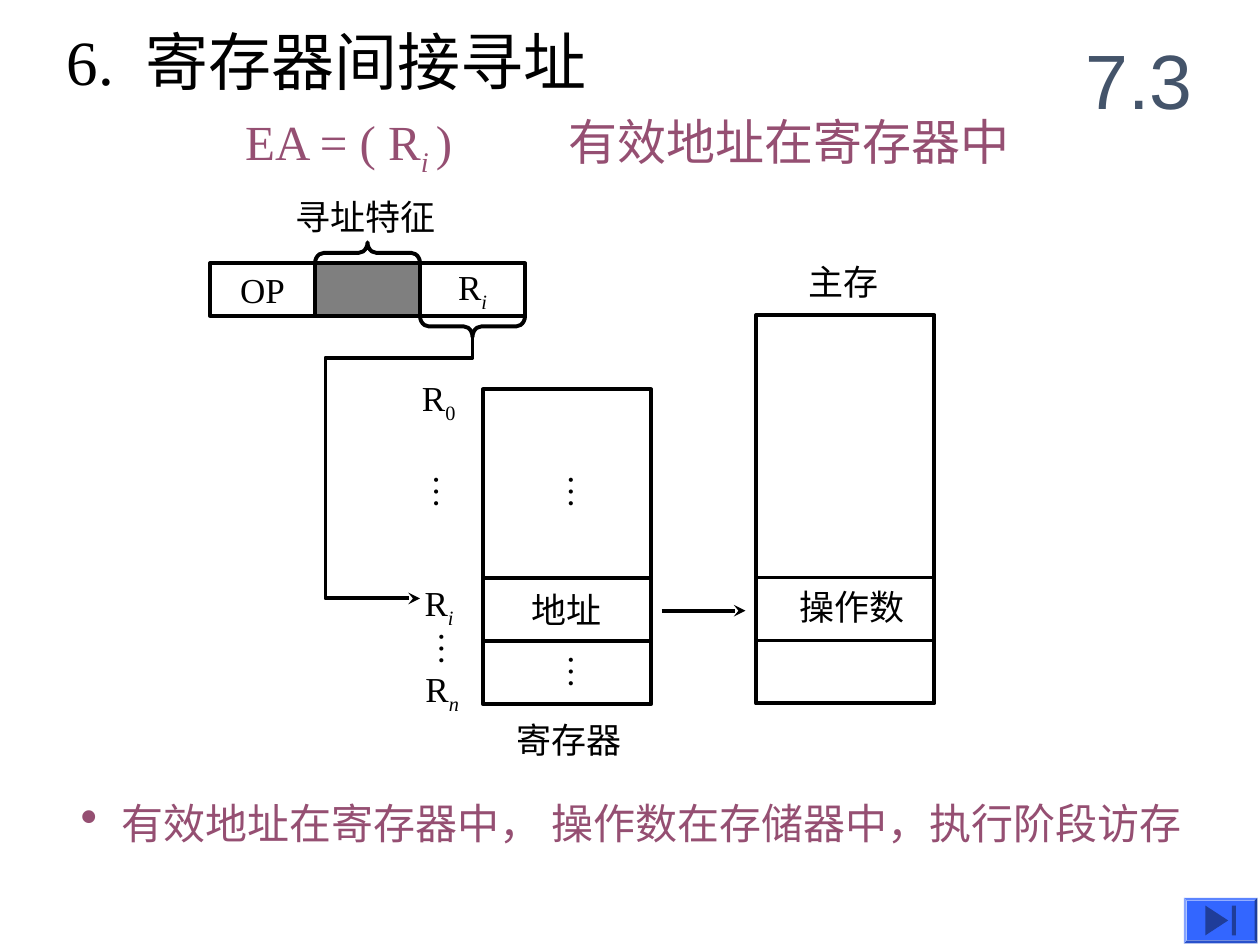
import pptx
import pptx.util
import pptx.dml.color
import pptx.enum.shapes
import pptx.enum.text
import pptx.oxml
import pptx.oxml.ns
import lxml.etree

Pt = pptx.util.Pt
SHAPE = pptx.enum.shapes.MSO_SHAPE
ALIGN = pptx.enum.text.PP_ALIGN
ANCHOR = pptx.enum.text.MSO_ANCHOR
FIT = pptx.enum.text.MSO_AUTO_SIZE

THEME = {
    "ink": "000000", "plum": "954F72", "slate": "44546A",
    "blue": "3366FF", "navy": "1F3D99",
    "serif": "Times New Roman", "sans": "Arial",
    "label": 20, "note": 24, "lead": 28, "head": 36, "mark": 44, "line": 2.25,
}

# Content: text is a list of (words, style) runs; boxes are left, top, width, height
TITLE = [("6.\t寄存器间接寻址", "")]
LEADS = [
    ([("EA = ( R", ""), ("i ", "sub it"), (")", "")], (133, 60, 140, 45)),
    ([("有效地址在寄存器中", "")], (318, 60, 270, 41)),
]
NOTE = [("有效地址在寄存器中， 操作数在存储器中，执行阶段访存", "")]
LABELS = [
    ([("寻址特征", "")], (162, 108, 102, 32)),
    ([("主存", "")], (455, 145.5, 62, 32)),
    ([("操作数", "")], (450, 331, 82, 32)),
    ([("寄存器", "")], (288, 407, 102, 32)),
    ([("R", ""), ("0", "sub")], (234, 211.5, 40, 35)),
    ([("R", ""), ("i", "sub it")], (235.5, 329, 40, 35)),
    ([("R", ""), ("n", "sub it")], (236, 378, 40, 35)),
]
DOTS = [(311, 264), (311, 367), (234, 264), (237, 353.5)]
FIELDS = [[("OP", "")], None, [("R", ""), ("i", "sub it")]]
CELLS = [(108, None), (36, [("地址", "")]), (36, None)]

FIELD = (120, 150.5, 60, 30)
BANK = (276, 222.5, 96)
MEMORY = (432, 180, 102, 222)
ROWS = (330, 366)
ROUTE = [(270, 192.5), (270, 204.5), (186, 204.5), (186, 342), (240, 342)]

deck = pptx.Presentation()
deck.slide_width, deck.slide_height = Pt(720), Pt(540)
slide = deck.slides.add_slide(deck.slide_layouts[5])
shapes = slide.shapes


def color(name):
    return pptx.dml.color.RGBColor.from_string(THEME[name])


def add(parent, tag, **attrs):
    node = lxml.etree.SubElement(parent, pptx.oxml.ns.qn(tag))
    for key, value in attrs.items():
        node.set(key, str(value))
    return node


def write(shape, runs, size="label", tint="ink", font="serif", align=ALIGN.LEFT,
          anchor=ANCHOR.TOP, wrap=False, fit=FIT.SHAPE_TO_FIT_TEXT,
          inset=(7.2, 3.6), bullet=None, tab=None):
    frame = shape.text_frame
    frame.word_wrap, frame.auto_size = wrap, fit
    frame.vertical_anchor = anchor
    frame.margin_left = frame.margin_right = Pt(inset[0])
    frame.margin_top = frame.margin_bottom = Pt(inset[1])
    para = frame.paragraphs[0]
    para.alignment = align
    props = para._p.get_or_add_pPr()
    if bullet:
        props.set("marL", str(Pt(bullet)))
        props.set("indent", str(-Pt(bullet)))
        add(props, "a:buSzPct", val=117000)
        add(props, "a:buChar", char="•")
    if tab:
        add(add(props, "a:tabLst"), "a:tab", pos=Pt(tab), algn="l")
    for words, style in runs:
        run = para.add_run()
        run.text = words
        run.font.name, run.font.size = THEME[font], Pt(THEME[size])
        run.font.color.rgb = color(tint)
        run.font.bold, run.font.italic = False, "it" in style
        if "sub" in style:
            run.font._element.set("baseline", "-25000")


def place(shape, box):
    shape.left, shape.top, shape.width, shape.height = map(Pt, box)


def label(runs, box, **form):
    shape = shapes.add_textbox(*map(Pt, box))
    write(shape, runs, **form)
    return shape


def outline(shape):
    shape.shadow.inherit = False
    shape.fill.background()
    shape.line.color.rgb = color("ink")
    shape.line.width = Pt(THEME["line"])


def block(box, kind=SHAPE.RECTANGLE, fill=None, turn=0, runs=None):
    shape = shapes.add_shape(kind, *map(Pt, box))
    outline(shape)
    shape.rotation = turn
    if fill:
        shape.fill.solid()
        shape.fill.fore_color.rgb = color(fill)
    if runs:
        write(shape, runs, align=ALIGN.CENTER, anchor=ANCHOR.MIDDLE, fit=FIT.NONE)
    return shape


def arrow(shape):
    add(shape.line._get_or_add_ln(), "a:tailEnd", type="stealth")


def rule(x1, x2, y):
    line = shapes.add_connector(pptx.enum.shapes.MSO_CONNECTOR.STRAIGHT,
                                Pt(x1), Pt(y), Pt(x2), Pt(y))
    line.line.color.rgb = color("ink")
    line.line.width = Pt(THEME["line"])
    add(line.element.spPr, "a:effectLst")
    return line


# Headings and note
place(shapes.title, (31, 9.5, 350, 50))
write(shapes.title, TITLE, size="head", tab=45)
for runs, box in LEADS:
    label(runs, box, size="lead", tint="plum")
label([("7.3", "")], (606, 12, 90, 66), size="mark", tint="slate", font="sans",
      align=ALIGN.CENTER, anchor=ANCHOR.MIDDLE, wrap=True, fit=FIT.NONE)
label(NOTE, (39, 452, 666, 41), size="note", tint="plum", wrap=True, bullet=23.5)

# Main memory
block(MEMORY)
for y in ROWS:
    rule(MEMORY[0], MEMORY[0] + MEMORY[2], y)

# Instruction word, with a half-clear middle field
left, top, wide, high = FIELD
for i, runs in enumerate(FIELDS):
    cell = block((left + i * wide, top, wide, high), runs=runs,
                 fill=None if runs else "ink")
    if not runs:
        tone = cell.element.spPr.find(".//" + pptx.oxml.ns.qn("a:srgbClr"))
        add(tone, "a:alpha", val=50000)

# Braces above the middle field and below the last one
depth = 12
for i, y, turn in ((1, top - depth / 2, 90), (2, top + high + depth / 2, 270)):
    mid = left + (i + 0.5) * wide
    brace = block((mid - depth / 2, y - wide / 2, depth, wide),
                  kind=SHAPE.LEFT_BRACE, turn=turn)
    brace.adjustments[0] = 0.42

# Register bank
left, y, wide = BANK
for high, runs in CELLS:
    block((left, y, wide, high), runs=runs)
    y += high

# Arrows
points = [(Pt(x), Pt(y)) for x, y in ROUTE]
pen = shapes.build_freeform(*points[0], scale=1.0)
pen.add_line_segments(points[1:], close=False)
route = pen.convert_to_shape()
outline(route)
arrow(route)
arrow(rule(378, 426, 349))

# Labels and vertical dots
for runs, box in LABELS:
    label(runs, box)
for x, y in DOTS:
    dots = label([("…", "")], (x, y, 38, 27), inset=(3.6, 7.2))
    dots.element.txBody.bodyPr.set("vert", "eaVert")

# Button at the corner
button = block((676.5, 513, 42, 26), kind=SHAPE.BEVEL, fill="blue")
button.adjustments[0] = 0.06
icons = [block((686.8, 519.5, 17, 13), kind=SHAPE.ISOSCELES_TRIANGLE,
               fill="navy", turn=90),
         block((704, 517.5, 2.2, 17), fill="navy")]
for part in [button] + icons:
    part.line.fill.background()

deck.save("out.pptx")
